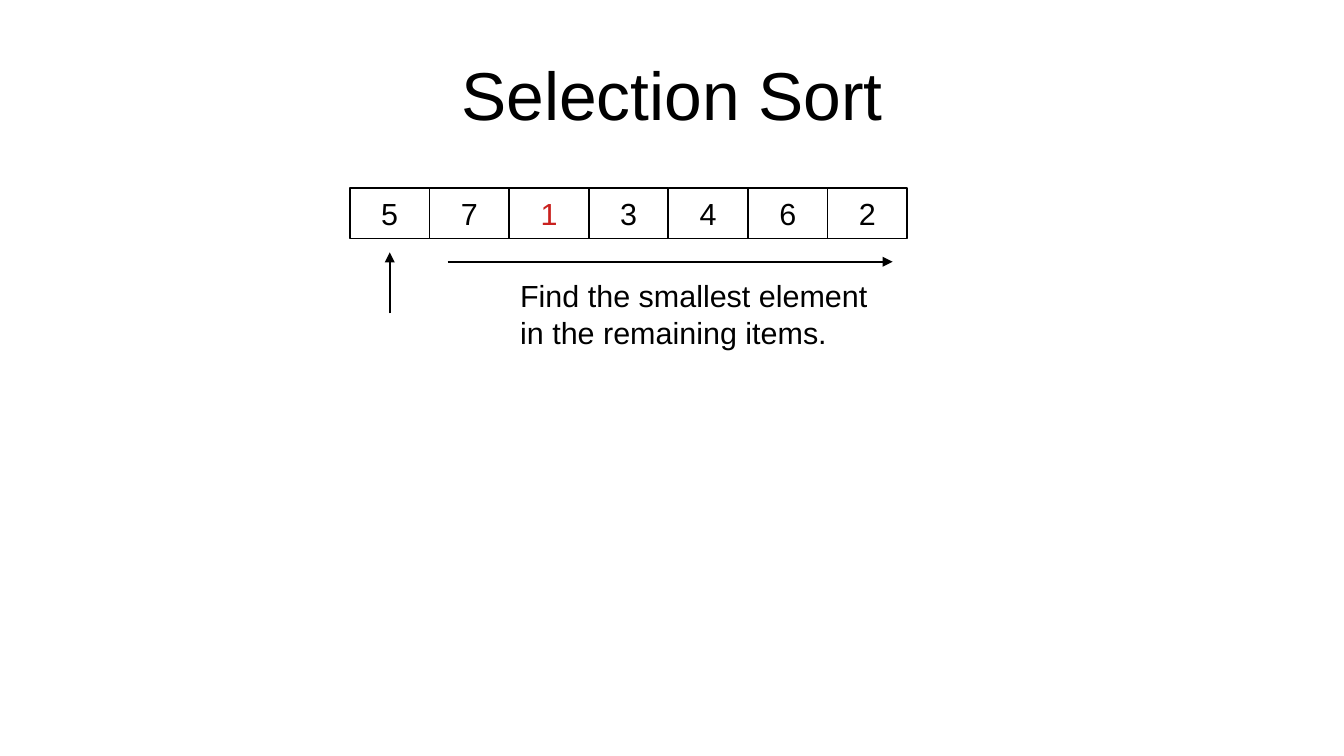
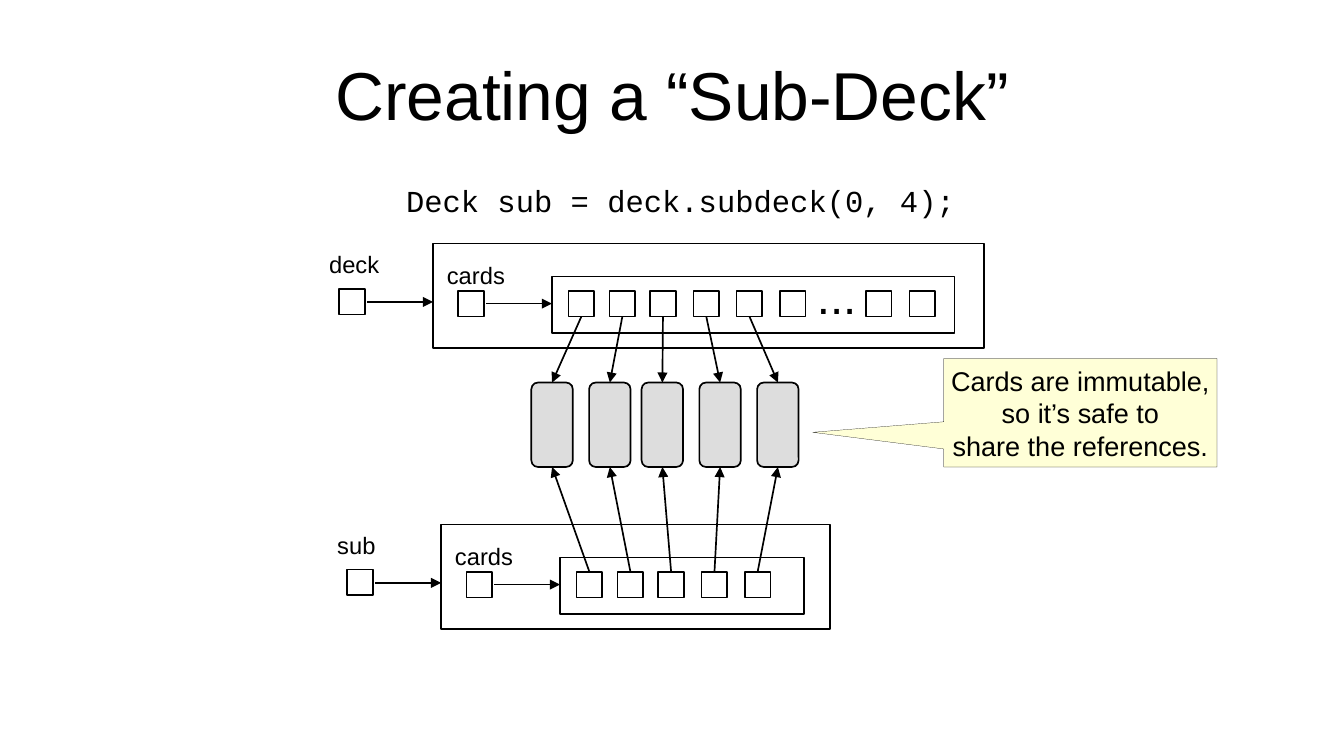
"""Builds two slides on sorting an array and sharing cards between decks."""
from pptx import Presentation
from pptx.dml.color import RGBColor
from pptx.enum.shapes import MSO_CONNECTOR, MSO_SHAPE
from pptx.enum.text import MSO_ANCHOR, MSO_AUTO_SIZE, PP_ALIGN
from pptx.oxml.ns import qn
from pptx.util import Pt
from lxml import etree

RECT, ROUND = MSO_SHAPE.RECTANGLE, MSO_SHAPE.ROUNDED_RECTANGLE
CALLOUT = MSO_SHAPE.RECTANGULAR_CALLOUT
LINE = MSO_CONNECTOR.STRAIGHT
LEFT, CENTER = PP_ALIGN.LEFT, PP_ALIGN.CENTER
TOP, MIDDLE = MSO_ANCHOR.TOP, MSO_ANCHOR.MIDDLE
FIT, FIXED = MSO_AUTO_SIZE.SHAPE_TO_FIT_TEXT, MSO_AUTO_SIZE.NONE

BLACK = RGBColor(0x00, 0x00, 0x00)
WHITE = RGBColor(0xFF, 0xFF, 0xFF)
RED = RGBColor(0xC9, 0x21, 0x1E)
GRAY = RGBColor(0xDD, 0xDD, 0xDD)
CREAM = RGBColor(0xFF, 0xFF, 0xD7)
SANS, MONO = "Arial", "Courier New"

WIDTH, HEIGHT = 793.44, 446.4
BOX = 15.2

SORT_TITLE = "Selection Sort"
ITEMS = [5, 7, 1, 3, 4, 6, 2]
LEAST = 1
HINT = "Find the smallest element\nin the remaining items."

DECK_TITLE = "Creating a “Sub-Deck”"
CODE = "Deck sub = deck.subdeck(0, 4);"
NOTE = "Cards are immutable,\nso it’s safe to\nshare the references."
CARDS = [313.7, 347.8, 378.8, 412.9, 447]
SLOTS = [80, 104.2, 128.2, 153.8, 179.3, 204.9, 255.6, 281.3]
DECKS = [
    {"name": "deck", "x": 255.6, "y": 143.8, "width": 325.4,
     "inner": 237.6, "slots": SLOTS, "ends": (2, 0)},
    {"name": "sub", "x": 260.4, "y": 309.7, "width": 229.7,
     "inner": 144, "slots": SLOTS[:len(CARDS)], "ends": (0, 2)},
]


def style(frame, text, size, color=BLACK, font=SANS, align=LEFT,
          anchor=TOP, wrap=False):
    frame.text = text
    frame.word_wrap = wrap
    frame.vertical_anchor = anchor
    for par in frame.paragraphs:
        par.alignment = align
        for run in par.runs:
            run.font.name = font
            run.font.size = Pt(size)
            run.font.color.rgb = color


def label(slide, text, x, y, w, h, size, **look):
    box = slide.shapes.add_textbox(Pt(x), Pt(y), Pt(w), Pt(h))
    style(box.text_frame, text, size, **look)
    box.text_frame.auto_size = FIT
    return box


def block(slide, x, y, w, h, fill=WHITE, kind=RECT, weight=1):
    shape = slide.shapes.add_shape(kind, Pt(x), Pt(y), Pt(w), Pt(h))
    shape.shadow.inherit = False
    if fill is None:
        shape.fill.background()
    else:
        shape.fill.solid()
        shape.fill.fore_color.rgb = fill
    shape.line.color.rgb = BLACK
    shape.line.width = Pt(weight)
    return shape


def arrow(slide, x1=0, y1=0, x2=0, y2=0):
    line = slide.shapes.add_connector(LINE, Pt(x1), Pt(y1), Pt(x2), Pt(y2))
    line.line.color.rgb = BLACK
    line.line.width = Pt(1)
    etree.SubElement(line.line._get_or_add_ln(), qn("a:tailEnd"),
                     type="triangle")
    etree.SubElement(line._element.spPr, qn("a:effectLst"))
    return line


def start(deck, title):
    slide = deck.slides.add_slide(deck.slide_layouts[6])
    box = label(slide, title, 39.6, 18, 714.24, 74.9, 40,
                align=CENTER, anchor=MIDDLE, wrap=True)
    frame = box.text_frame
    frame.auto_size = FIXED
    frame.margin_left = frame.margin_right = 0
    frame.margin_top = frame.margin_bottom = 0
    return slide


def sort_slide(deck):
    slide = start(deck, SORT_TITLE)
    left, top, wide, high = 206.6, 110.9, 47, 30
    for i, item in enumerate(ITEMS):
        cell = block(slide, left + i * wide, top, wide, high)
        style(cell.text_frame, str(item), 18, RED if item == LEAST else BLACK,
              align=CENTER, anchor=MIDDLE)
    mid = left + wide / 2
    arrow(slide, mid, 185, mid, 149)
    label(slide, HINT, 300, 160.3, 219.6, 47.5, 18)
    arrow(slide, 264.2, 154.6, 527, 154.6)


def draw_deck(slide, data, cards):
    x, y = data["x"], data["y"]
    block(slide, x, y, data["width"], 61.9, None)
    block(slide, x + 70.4, y + 19.6, data["inner"], 33.1, None)
    block(slide, x - 55.4, y + 26.7, BOX, BOX)
    block(slide, x + 15, y + 28, BOX, BOX)
    arrow(slide, x - 38.9, y + 34.5, x, y + 34.5)
    arrow(slide, x + 31.5, y + 35.5, x + 70.2, y + 35.5)
    label(slide, data["name"], x - 68.4, y, 43.9, 23, 14)
    label(slide, "cards", x + 1.1, y + 6.5, 49, 23, 14)
    slots = [block(slide, x + dx, y + 28, BOX, BOX) for dx in data["slots"]]
    begin, end = data["ends"]
    for slot, card in zip(slots, cards):
        link = arrow(slide)
        link.begin_connect(slot, begin)
        link.end_connect(card, end)


def deck_slide(deck):
    slide = start(deck, DECK_TITLE)
    label(slide, CODE, 232.6, 103.7, 385.2, 27.4, 18, font=MONO, wrap=True)
    cards = []
    for x in CARDS:
        card = block(slide, x, 225.9, 24.5, 49.9, GRAY, ROUND)
        card.adjustments[0] = 0.16
        cards.append(card)
    for data in DECKS:
        draw_deck(slide, data, cards)
    label(slide, "...", 475.2, 154.1, 44, 38.2, 28)
    note = block(slide, 557.2, 211.7, 161.3, 64.1, CREAM, CALLOUT, 0.1)
    note.adjustments[0] = -0.98
    note.adjustments[1] = 0.18
    style(note.text_frame, NOTE, 16, align=CENTER, anchor=MIDDLE)


def main():
    deck = Presentation()
    deck.slide_width, deck.slide_height = Pt(WIDTH), Pt(HEIGHT)
    sort_slide(deck)
    deck_slide(deck)
    deck.save("out.pptx")


if __name__ == "__main__":
    main()
